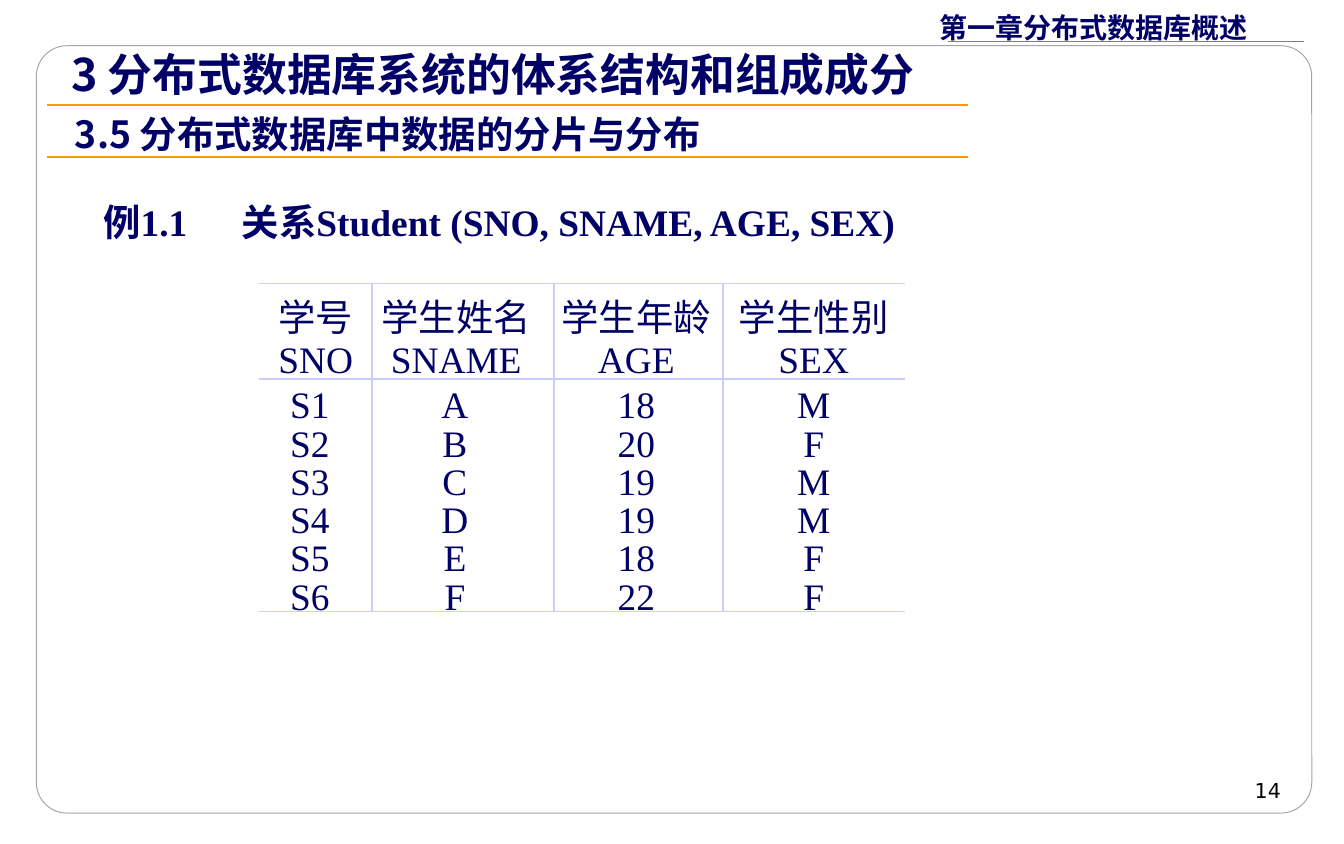
from itertools import accumulate

from lxml import etree
from pptx import Presentation
from pptx import util as u
from pptx.dml.color import RGBColor
from pptx.enum import shapes, text
from pptx.oxml.ns import qn

WIDTH, HEIGHT = 10, 6.28
COLORS = {"ink": "000066", "rule": "FF9900", "grid": "CCCCFF", "frame": "A5A5A5",
          "header_rule": "7F7F7F", "paper": "FFFFFF", "number": "000000"}
CJK, SERIF, SANS = "Noto Sans CJK SC", "Times New Roman", "DejaVu Sans"
LEFT, CENTER, RIGHT = text.PP_ALIGN.LEFT, text.PP_ALIGN.CENTER, text.PP_ALIGN.RIGHT

TITLE = "3 分布式数据库系统的体系结构和组成成分"
TITLE_AREA = (0.43, 0.3, 7.17, 0.5)
# words, area, then the text format
LABELS = [
    ("第一章分布式数据库概述", (6.89, 0.03, 2.6, 0.34), dict(size=15, bold=True)),
    ("3.5 分布式数据库中数据的分片与分布", (0.46, 0.78, 5.8, 0.44), dict(size=20, bold=True)),
    ("例1.1\t关系Student (SNO, SNAME, AGE, SEX)", (0.67, 1.27, 8.74, 0.6),
     dict(size=20, bold=True, font=SERIF, spacing=1.5, tab=1.03)),
    ("14", (7.13, 5.74, 2.5, 0.23),
     dict(size=11, font=SANS, color="number", align=RIGHT)),
]
# start, end, colour, points
RULES = [((0.35, 0.78), (7.2, 0.78), "rule", 1),
         ((0.35, 1.17), (7.2, 1.17), "rule", 1),
         ((9.7, 0.31), (7.05, 0.31), "header_rule", 0.75)]
STUDENTS = [
    ("学号\nSNO", "学生姓名\nSNAME", "学生年龄\nAGE", "学生性别\nSEX"),
    ("S1", "A", "18", "M"),
    ("S2", "B", "20", "F"),
    ("S3", "C", "19", "M"),
    ("S4", "D", "19", "M"),
    ("S5", "E", "18", "F"),
    ("S6", "F", "22", "F"),
]
GRID_LEFT, GRID_TOP, GRID_BOTTOM = 1.93, 2.11, 4.55
COLUMN_WIDTHS = [0.84, 1.35, 1.26, 1.35]
HEADER_HEIGHT, FIRST_HEIGHT, ROW_HEIGHT = 0.71, 0.33, 0.285
TEXT_DROP = 0.02  # the words sit slightly below the grid lines
HEADER_INSETS = [0, 0.1, 0.03, 0]
BODY_INSETS = [0.09, 0.12, 0.03, 0]


def rgb(name):
    return RGBColor.from_string(COLORS[name])


def inches(values):
    return [u.Inches(value) for value in values]


def format_paragraph(para, size, bold=False, font=CJK, color="ink", align=LEFT,
                     spacing=1.0, tab=None):
    para.alignment = align
    para.line_spacing = spacing
    if tab:
        stops = etree.SubElement(para._p.get_or_add_pPr(), qn("a:tabLst"))
        etree.SubElement(stops, qn("a:tab"), pos=str(u.Inches(tab)), algn="l")
    for span in para.runs:
        span.font.size = u.Pt(size)
        span.font.bold = bold
        span.font.name = font
        span.font.color.rgb = rgb(color)
        etree.SubElement(span._r.get_or_add_rPr(), qn("a:ea"), typeface=CJK)


def fill_box(box, words, area, style):
    box.left, box.top, box.width, box.height = inches(area)
    frame = box.text_frame
    frame.text = words
    frame.word_wrap = True
    frame.auto_size = text.MSO_AUTO_SIZE.NONE
    frame.vertical_anchor = text.MSO_ANCHOR.TOP
    frame.margin_left = frame.margin_right = u.Inches(0.1)
    frame.margin_top = frame.margin_bottom = u.Inches(0.05)
    format_paragraph(frame.paragraphs[0], **style)


def add_rule(page, start, end, color, points):
    rule = page.shapes.add_connector(shapes.MSO_CONNECTOR.STRAIGHT,
                                     *inches(start + end))
    rule.line.color.rgb = rgb(color)
    rule.line.width = u.Pt(points)
    etree.SubElement(rule._element.spPr, qn("a:effectLst"))


def hide_borders(cell):
    properties = cell._tc.get_or_add_tcPr()
    for side in ("lnL", "lnR", "lnT", "lnB"):
        etree.SubElement(etree.SubElement(properties, qn("a:" + side)), qn("a:noFill"))


def add_student_table(page):
    heights = [HEADER_HEIGHT, FIRST_HEIGHT] + [ROW_HEIGHT] * (len(STUDENTS) - 2)
    area = (GRID_LEFT, GRID_TOP + TEXT_DROP, sum(COLUMN_WIDTHS), sum(heights))
    table = page.shapes.add_table(len(STUDENTS), len(COLUMN_WIDTHS), *inches(area)).table
    table.first_row = table.horz_banding = False
    for column, width in zip(table.columns, COLUMN_WIDTHS):
        column.width = u.Inches(width)
    for row, height in zip(table.rows, heights):
        row.height = u.Inches(height)
    for r, record in enumerate(STUDENTS):
        insets = BODY_INSETS if r else HEADER_INSETS
        for c, words in enumerate(record):
            cell = table.cell(r, c)
            hide_borders(cell)
            cell.fill.background()
            cell.margin_left = cell.margin_top = cell.margin_bottom = 0
            cell.margin_right = u.Inches(insets[c])
            cell.vertical_anchor = text.MSO_ANCHOR.BOTTOM
            cell.text_frame.text = words
            for p, para in enumerate(cell.text_frame.paragraphs):
                format_paragraph(para, 20, font=SERIF, align=CENTER,
                                 spacing=1.0 if p else 0.85)


def add_grid(page):
    right = GRID_LEFT + sum(COLUMN_WIDTHS)
    for y in (GRID_TOP, GRID_TOP + HEADER_HEIGHT, GRID_BOTTOM):
        add_rule(page, (GRID_LEFT, y), (right, y), "grid", 1)
    for offset in accumulate(COLUMN_WIDTHS[:-1]):
        x = GRID_LEFT + offset
        add_rule(page, (x, GRID_TOP), (x, GRID_BOTTOM), "grid", 1)


def add_frame(page):
    frame = page.shapes.add_shape(shapes.MSO_SHAPE.ROUNDED_RECTANGLE,
                                  *inches((0.27, 0.34, 9.49, 5.71)))
    frame.adjustments[0] = 0.04
    frame.shadow.inherit = False
    frame.fill.solid()
    frame.fill.fore_color.rgb = rgb("paper")
    frame.line.color.rgb = rgb("frame")
    frame.line.width = u.Pt(0.5)
    page.shapes._spTree.insert(2, frame._element)  # behind the title


def main():
    deck = Presentation()
    deck.slide_width, deck.slide_height = inches((WIDTH, HEIGHT))
    page = deck.slides.add_slide(deck.slide_layouts[5])
    add_frame(page)
    fill_box(page.shapes.title, TITLE, TITLE_AREA, dict(size=24, bold=True))
    for words, area, style in LABELS:
        fill_box(page.shapes.add_textbox(0, 0, 0, 0), words, area, style)
    for rule in RULES:
        add_rule(page, *rule)
    add_student_table(page)
    add_grid(page)
    deck.save("out.pptx")


if __name__ == "__main__":
    main()
